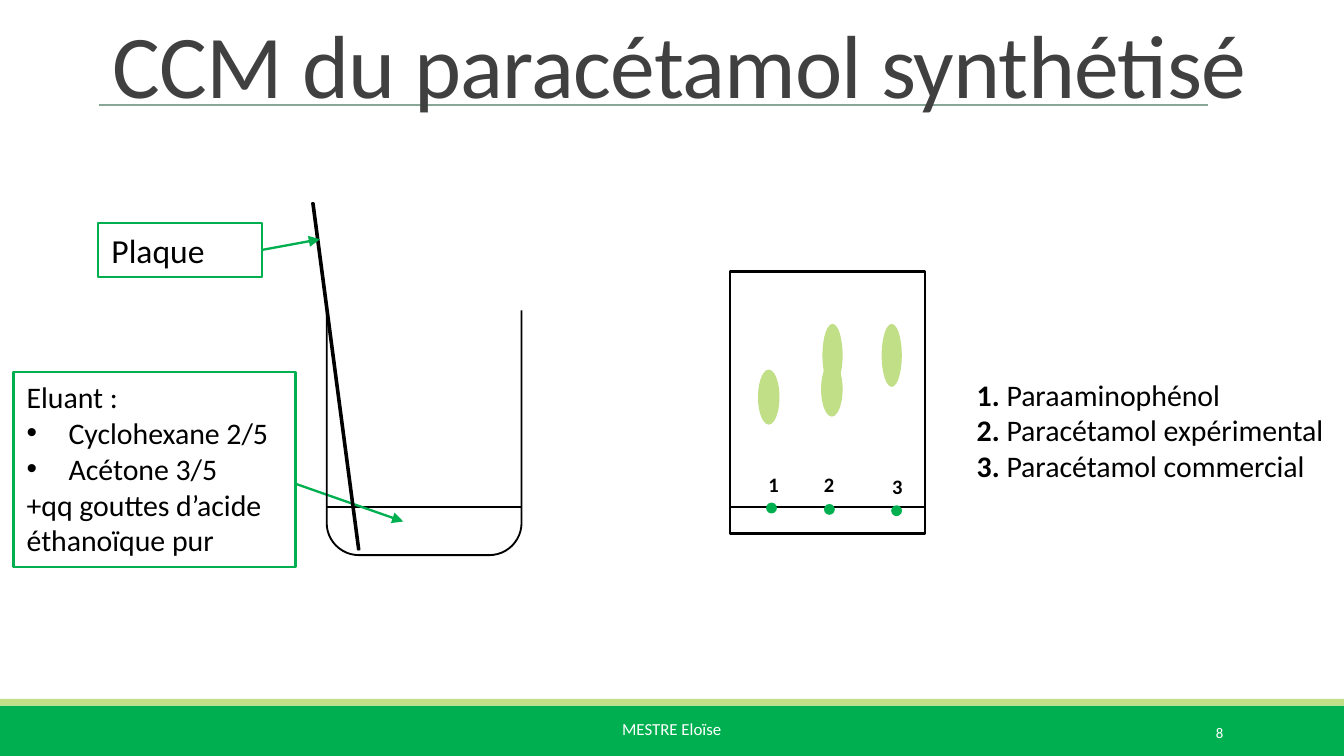
"""Build the slide on thin-layer chromatography of paracetamol."""
from math import cos, pi, sin
from lxml import etree
from pptx import Presentation
from pptx.dml.color import RGBColor
from pptx.enum.shapes import MSO_CONNECTOR, MSO_SHAPE
from pptx.enum.text import MSO_ANCHOR, PP_ALIGN
from pptx.oxml.ns import qn
from pptx.util import Pt

RECT, OVAL = MSO_SHAPE.RECTANGLE, MSO_SHAPE.OVAL
SLANT, STRAIGHT = MSO_SHAPE.PARALLELOGRAM, MSO_CONNECTOR.STRAIGHT
LEFT, RIGHT = PP_ALIGN.LEFT, PP_ALIGN.RIGHT
TOP, MIDDLE, BOTTOM = MSO_ANCHOR.TOP, MSO_ANCHOR.MIDDLE, MSO_ANCHOR.BOTTOM
FONT = "Calibri"
COLORS = {"green": "00B050", "lime": "C1DF87", "sage": "87A896", "gray": "A6A6A6",
          "title": "404040", "black": "000000", "white": "FFFFFF"}

TITLE = "CCM du paracétamol synthétisé"
AUTHOR, PAGE = "MESTRE Eloïse", "8"
PLATE = "Plaque"
ELUENT = ["Eluant :", "• Cyclohexane 2/5", "• Acétone 3/5",
          "+qq gouttes d’acide éthanoïque pur"]
LEGEND = [("1.", " Paraaminophénol"), ("2. ", "Paracétamol expérimental"),
          ("3. ", "Paracétamol commercial")]
DOTS = [("1", 410.4, 269.3, 404.6, 249.1), ("2", 441.4, 270, 434.2, 249.1),
        ("3", 477.4, 270.7, 470.9, 250.6)]
SPOTS = [(406.1, 198, 11.5, 29.5), (472.3, 173.5, 10.8, 33.8),
         (440.6, 173.5, 10.8, 33.8), (439.9, 193.7, 11.5, 29.5)]
BEAKER = (175, 166.3, 279.4, 297.4)
CURVE, STEPS = 17.3, 12
LEVEL = 271.4

prs = Presentation()
prs.slide_width, prs.slide_height = Pt(720), Pt(405)
slide = prs.slides.add_slide(prs.slide_layouts[6])
shapes = slide.shapes


def rgb(name):
    return RGBColor.from_string(COLORS[name])


def paint(shape, fill=None, line=None, width=1):
    shape.shadow.inherit = False
    if fill:
        shape.fill.solid()
        shape.fill.fore_color.rgb = rgb(fill)
    else:
        shape.fill.background()
    if line:
        shape.line.color.rgb = rgb(line)
        shape.line.width = Pt(width)
    else:
        shape.line.fill.background()
    return shape


def draw(kind, box, fill, line=None, width=1):
    return paint(shapes.add_shape(kind, *map(Pt, box)), fill, line, width)


def link(x1, y1, x2, y2, color="black", width=1, arrow=False):
    line = shapes.add_connector(STRAIGHT, *map(Pt, (x1, y1, x2, y2)))
    line.line.color.rgb = rgb(color)
    line.line.width = Pt(width)
    if arrow:
        etree.SubElement(line.line._get_or_add_ln(), qn("a:tailEnd"), type="triangle")
    etree.SubElement(line._element.spPr, qn("a:effectLst"))


def write(shape, paras, size, color="black", bold=False, align=LEFT,
          anchor=TOP, wrap=True):
    frame = shape.text_frame
    frame.word_wrap, frame.vertical_anchor = wrap, anchor
    for i, parts in enumerate(paras):
        para = frame.add_paragraph() if i else frame.paragraphs[0]
        para.alignment = align
        parts = [parts] if isinstance(parts, str) else parts
        if parts[0].startswith("• "):
            parts = [parts[0][2:]]
            props = para._p.get_or_add_pPr()
            props.set("marL", str(Pt(22.5)))
            props.set("indent", str(-Pt(22.5)))
            etree.SubElement(props, qn("a:buFont"), typeface="Arial")
            etree.SubElement(props, qn("a:buChar"), char="•")
        for j, part in enumerate(parts):
            run = para.add_run()
            run.text = part
            run.font.name, run.font.size = FONT, Pt(size)
            run.font.color.rgb = rgb(color)
            run.font.bold = bold or (len(parts) > 1 and j == 0)
    return frame


def label(box, paras, size, **style):
    return write(shapes.add_textbox(*map(Pt, box)), paras, size, **style)


draw(RECT, (0, 378, 720, 27), "green")
draw(RECT, (0, 374.4, 720, 3.6), "lime")
link(53.3, 56.2, 647.3, 56.2, "sage")
label((326.2, 381.6, 67.7, 32.4), [AUTHOR], 9, color="white", wrap=False)
label((584.6, 381.6, 77.8, 21.6), [PAGE], 7.9, color="white", align=RIGHT, anchor=MIDDLE)
head = label((53.3, 11.5, 666.7, 54.7), [TITLE], 48, color="title", anchor=BOTTOM)
head.paragraphs[0].line_spacing = 0.85
head.paragraphs[0].runs[0].font._element.set("spc", "-40")

x1, y1, x2, y2 = BEAKER
link(x1, LEVEL, x2, LEVEL)
write(draw(RECT, (7.2, 199.4, 151.2, 104.4), "white", "green", 1.25), ELUENT, 16)
link(158.4, 259.2, 216, 279.4, "green", 1.25, True)

turns = [pi / 2 * i / STEPS for i in range(STEPS + 1)]
base = y2 - CURVE
wall = [(x1 + CURVE - CURVE * cos(t), base + CURVE * sin(t)) for t in turns]
wall += [(x2 - CURVE + CURVE * sin(t), base + CURVE * cos(t)) for t in turns]
path = shapes.build_freeform(Pt(x1), Pt(y1))
path.add_line_segments([(Pt(x), Pt(y)) for x, y in wall + [(x2, y1)]], close=False)
paint(path.convert_to_shape(), None, "black")

strip = draw(SLANT, (177.8, 108, 4.3, 187.2), "gray", "black")
strip.adjustments[0] = 0.78
strip.rotation = 353.5
strip._element.spPr.xfrm.set("flipH", "1")
write(draw(RECT, (52.6, 119.5, 87.8, 28.8), "white", "green", 1.25), [PLATE], 18)
link(140.4, 133.9, 171.4, 128.2, "green", 1.25, True)

label((516.2, 198, 203.8, 65.5), LEGEND, 16)
draw(RECT, (391, 145.4, 104.4, 140.4), "white", "black", 1.25)
link(391, LEVEL, 495.4, LEVEL)
for text, x, y, left, top in DOTS:
    draw(OVAL, (x, y, 5.8, 5.8), "green")
    label((left, top, 18, 20.9), [text], 11, bold=True)
for spot in SPOTS:
    draw(OVAL, spot, "lime")

prs.save("out.pptx")
